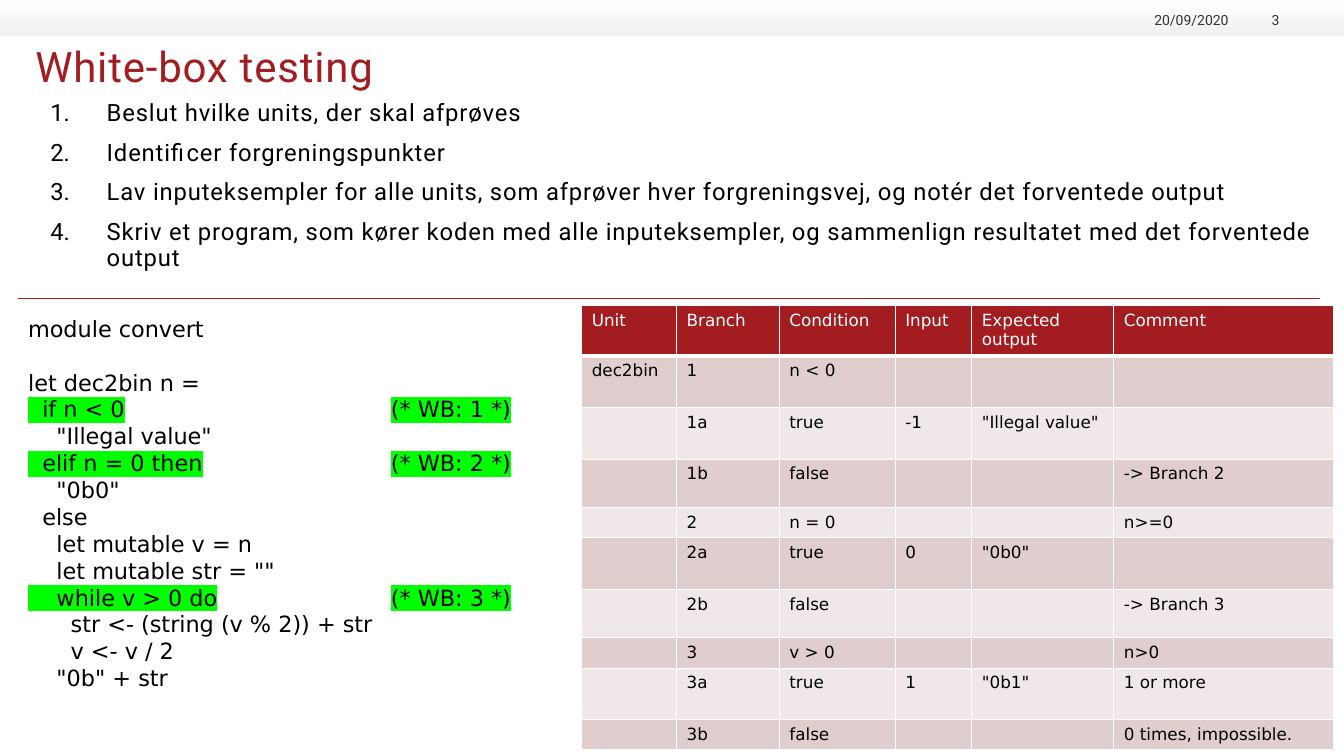
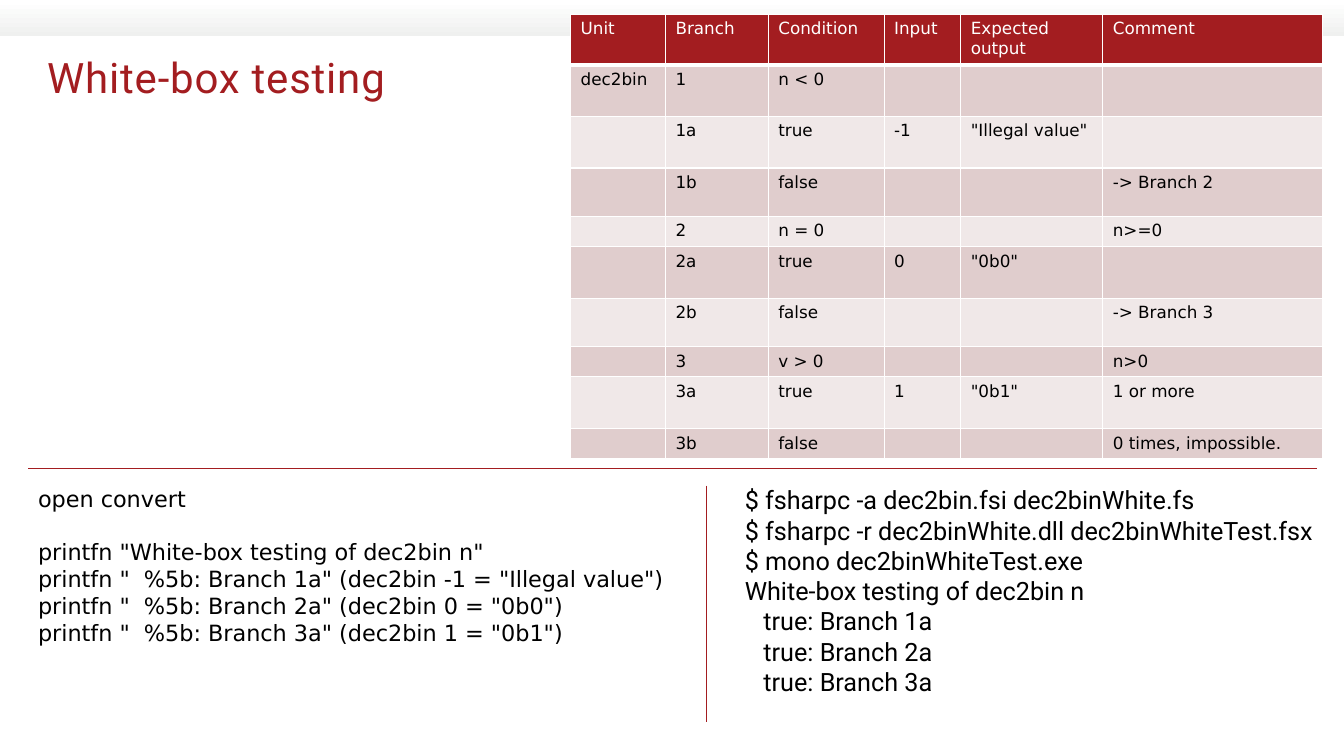
from lxml import etree
from pptx import Presentation
from pptx.dml.color import RGBColor
from pptx.enum.shapes import MSO_CONNECTOR, MSO_SHAPE
from pptx.enum.text import MSO_ANCHOR, MSO_AUTO_SIZE, PP_ALIGN
from pptx.oxml.ns import qn
from pptx.util import Cm, Pt

RECTANGLE = MSO_SHAPE.RECTANGLE
STRAIGHT = MSO_CONNECTOR.STRAIGHT
TOP, BOTTOM = MSO_ANCHOR.TOP, MSO_ANCHOR.BOTTOM
LEFT, RIGHT = PP_ALIGN.LEFT, PP_ALIGN.RIGHT
NO_AUTOFIT = MSO_AUTO_SIZE.NONE

# Shared look
SLIDE_WIDTH, SLIDE_HEIGHT = 33.87, 19.05
TITLE_ONLY = 5
SANS, CODE = "Roboto", "DejaVu Sans"
RED, BLACK, WHITE, GREY = "A31D20", "000000", "FFFFFF", "333333"
BAND_END, MARKER = "EFF0EF", "00FF00"
ROW_FILLS = ("F0E8E8", "E0CDCD")
LETTER_SPACING = 0.6
BLANK_LINE = 19

# Content
TITLE = "White-box testing"
DATE = "20/09/2020"
STEPS = [
    "Beslut hvilke units, der skal afprøves",
    "Identificer forgreningspunkter",
    "Lav inputeksempler for alle units, som afprøver hver forgreningsvej, "
    "og notér det forventede output",
    "Skriv et program, som kører koden med alle inputeksempler, "
    "og sammenlign resultatet med det forventede output",
]
# A tab leads to a branch comment; such lines are highlighted
MODULE_CODE = """module convert

let dec2bin n =
  if n < 0\t(* WB: 1 *)
    "Illegal value"
  elif n = 0 then\t(* WB: 2 *)
    "0b0"
  else
    let mutable v = n
    let mutable str = ""
    while v > 0 do\t(* WB: 3 *)
      str <- (string (v % 2)) + str
      v <- v / 2
    "0b" + str"""
TEST_CODE = """open convert

printfn "White-box testing of dec2bin n"
printfn "  %5b: Branch 1a" (dec2bin -1 = "Illegal value")
printfn "  %5b: Branch 2a" (dec2bin 0 = "0b0")
printfn "  %5b: Branch 3a" (dec2bin 1 = "0b1")"""
TERMINAL = """$ fsharpc -a dec2bin.fsi dec2binWhite.fs
$ fsharpc -r dec2binWhite.dll dec2binWhiteTest.fsx
$ mono dec2binWhiteTest.exe
White-box testing of dec2bin n
   true: Branch 1a
   true: Branch 2a
   true: Branch 3a"""
BRANCHES = [
    ("Unit", "Branch", "Condition", "Input", "Expected output", "Comment"),
    ("dec2bin", "1", "n < 0", "", "", ""),
    ("", "1a", "true", "-1", '"Illegal value"', ""),
    ("", "1b", "false", "", "", "-> Branch 2"),
    ("", "2", "n = 0", "", "", "n>=0"),
    ("", "2a", "true", "0", '"0b0"', ""),
    ("", "2b", "false", "", "", "-> Branch 3"),
    ("", "3", "v > 0", "", "", "n>0"),
    ("", "3a", "true", "1", '"0b1"', "1 or more"),
    ("", "3b", "false", "", "", "0 times, impossible."),
]
COLUMN_WIDTHS = (2.39, 2.59, 2.92, 1.93, 3.58, 5.54)
ROW_HEIGHTS = (1.27, 1.3, 1.3, 1.22, 0.76, 1.3, 1.22, 0.76, 1.3, 0.76)


def rgb(value):
    return RGBColor.from_string(value)


def add_xml(parent, tag, **attributes):
    return etree.SubElement(parent, qn(tag), **attributes)


def style(paragraph, size, font=SANS, color=BLACK, spacing=0):
    paragraph.font.size = Pt(size)
    paragraph.font.name = font
    paragraph.font.color.rgb = rgb(color)
    if spacing:
        defaults = paragraph._p.pPr.find(qn("a:defRPr"))
        defaults.set("spc", str(round(spacing * 100)))


def clear_margins(frame):
    frame.margin_left = frame.margin_right = 0
    frame.margin_top = frame.margin_bottom = 0


def add_text_frame(slide, left, top, width, height):
    box = slide.shapes.add_textbox(Cm(left), Cm(top), Cm(width), Cm(height))
    box.text_frame.word_wrap = True
    return box.text_frame


def fill_paragraphs(frame, lines):
    """Write one paragraph per line and yield each with its text."""
    for index, line in enumerate(lines):
        paragraph = frame.add_paragraph() if index else frame.paragraphs[0]
        paragraph.text = line
        yield index, paragraph


def add_band_text(slide, left, width, text):
    frame = add_text_frame(slide, left, 0.23, width, 0.48)
    clear_margins(frame)
    frame.vertical_anchor = BOTTOM
    paragraph = frame.paragraphs[0]
    paragraph.text = text
    paragraph.alignment = RIGHT
    style(paragraph, 10, color=GREY)


def add_slide(prs, number, title_left, title_top):
    slide = prs.slides.add_slide(prs.slide_layouts[TITLE_ONLY])
    # Top band with date and number
    band = slide.shapes.add_shape(RECTANGLE, 0, 0, Cm(SLIDE_WIDTH), Cm(0.92))
    band.shadow.inherit = False
    band.line.fill.background()
    band.fill.gradient()
    band.fill.gradient_angle = 270
    for stop, color in zip(band.fill.gradient_stops, (WHITE, BAND_END)):
        stop.color.rgb = rgb(color)
    add_band_text(slide, 28.7, 2.26, DATE)
    add_band_text(slide, 31.17, 1.07, str(number))
    # Title
    title = slide.shapes.title
    title.left, title.top = Cm(title_left), Cm(title_top)
    title.width, title.height = Cm(11.4), Cm(1.45)
    frame = title.text_frame
    clear_margins(frame)
    frame.auto_size = NO_AUTOFIT
    frame.vertical_anchor = TOP
    frame.text = TITLE
    frame.paragraphs[0].alignment = LEFT
    style(frame.paragraphs[0], 30, color=RED, spacing=LETTER_SPACING)
    return slide


def add_steps(slide, left, top, width, height):
    frame = add_text_frame(slide, left, top, width, height)
    clear_margins(frame)
    for index, paragraph in fill_paragraphs(frame, STEPS):
        properties = paragraph._p.get_or_add_pPr()
        properties.set("marL", str(Cm(1.42)))
        properties.set("indent", str(-Cm(1.42)))
        add_xml(properties, "a:buFont", typeface="+mj-lt")
        add_xml(properties, "a:buAutoNum", type="arabicPeriod")
        paragraph.line_spacing = 0.9
        if index:
            paragraph.space_before = Pt(10)
        style(paragraph, 17, spacing=LETTER_SPACING)


def add_code(slide, left, top, width, height, code, size=16, font=CODE):
    frame = add_text_frame(slide, left, top, width, height)
    lines = code.split("\n")
    after_gap = {following for line, following in zip(lines, lines[1:])
                 if not line}
    for _, paragraph in fill_paragraphs(frame, filter(None, lines)):
        if paragraph.text in after_gap:
            paragraph.space_before = Pt(BLANK_LINE)
        if "\t" in paragraph.text:
            tabs = add_xml(paragraph._p.get_or_add_pPr(), "a:tabLst")
            add_xml(tabs, "a:tab", pos=str(Cm(12.17)), algn="r")
            run_properties = paragraph.runs[0]._r.get_or_add_rPr()
            highlight = add_xml(run_properties, "a:highlight")
            add_xml(highlight, "a:srgbClr", val=MARKER)
        style(paragraph, size, font)


def add_rule(slide, x1, y1, x2, y2):
    rule = slide.shapes.add_connector(STRAIGHT, Cm(x1), Cm(y1), Cm(x2), Cm(y2))
    rule.line.color.rgb = rgb(RED)
    rule.line.width = Pt(0.5)
    add_xml(rule._element.spPr, "a:effectLst")


def add_borders(cell, bottom_width):
    properties = cell._tc.get_or_add_tcPr()
    for side in "LRTB":
        width = bottom_width if side == "B" else 1
        border = add_xml(properties, f"a:ln{side}", w=str(Pt(width)))
        add_xml(add_xml(border, "a:solidFill"), "a:srgbClr", val=WHITE)


def add_branch_table(slide, left, top):
    table = slide.shapes.add_table(
        len(BRANCHES), len(COLUMN_WIDTHS), Cm(left), Cm(top),
        Cm(sum(COLUMN_WIDTHS)), Cm(sum(ROW_HEIGHTS))).table
    table.first_row = table.horz_banding = False
    for column, width in zip(table.columns, COLUMN_WIDTHS):
        column.width = Cm(width)
    for index, (row, height) in enumerate(zip(table.rows, ROW_HEIGHTS)):
        row.height = Cm(height)
        header = index == 0
        for cell, text in zip(row.cells, BRANCHES[index]):
            add_borders(cell, 3 if header else 1)
            cell.fill.solid()
            cell.fill.fore_color.rgb = rgb(RED if header
                                           else ROW_FILLS[index % 2])
            paragraph = cell.text_frame.paragraphs[0]
            paragraph.text = text
            style(paragraph, 12, CODE, WHITE if header else BLACK)
            if not text:  # keeps empty cells from stretching the row
                add_xml(paragraph._p, "a:endParaRPr", sz="1200")


def main():
    prs = Presentation()
    prs.slide_width, prs.slide_height = Cm(SLIDE_WIDTH), Cm(SLIDE_HEIGHT)

    # Method, unit under test and its branches
    method = add_slide(prs, 3, 0.89, 1.02)
    add_steps(method, 1.27, 2.54, 32.33, 4.75)
    add_code(method, 0.46, 7.82, 13.13, 9.83, MODULE_CODE)
    add_branch_table(method, 14.66, 7.7)
    add_rule(method, 0.46, 7.52, 33.27, 7.52)

    # Test program and its output
    test = add_slide(prs, 4, 1.19, 1.3)
    add_code(test, 0.71, 12.09, 16.74, 4.37, TEST_CODE)
    add_code(test, 18.52, 12.09, 15.34, 6.4, TERMINAL, 18, SANS)
    add_rule(test, 0.71, 11.79, 33.2, 11.79)
    add_rule(test, 17.81, 12.24, 17.81, 18.19)
    add_branch_table(test, 14.38, 0.36)

    prs.save("out.pptx")


if __name__ == "__main__":
    main()
